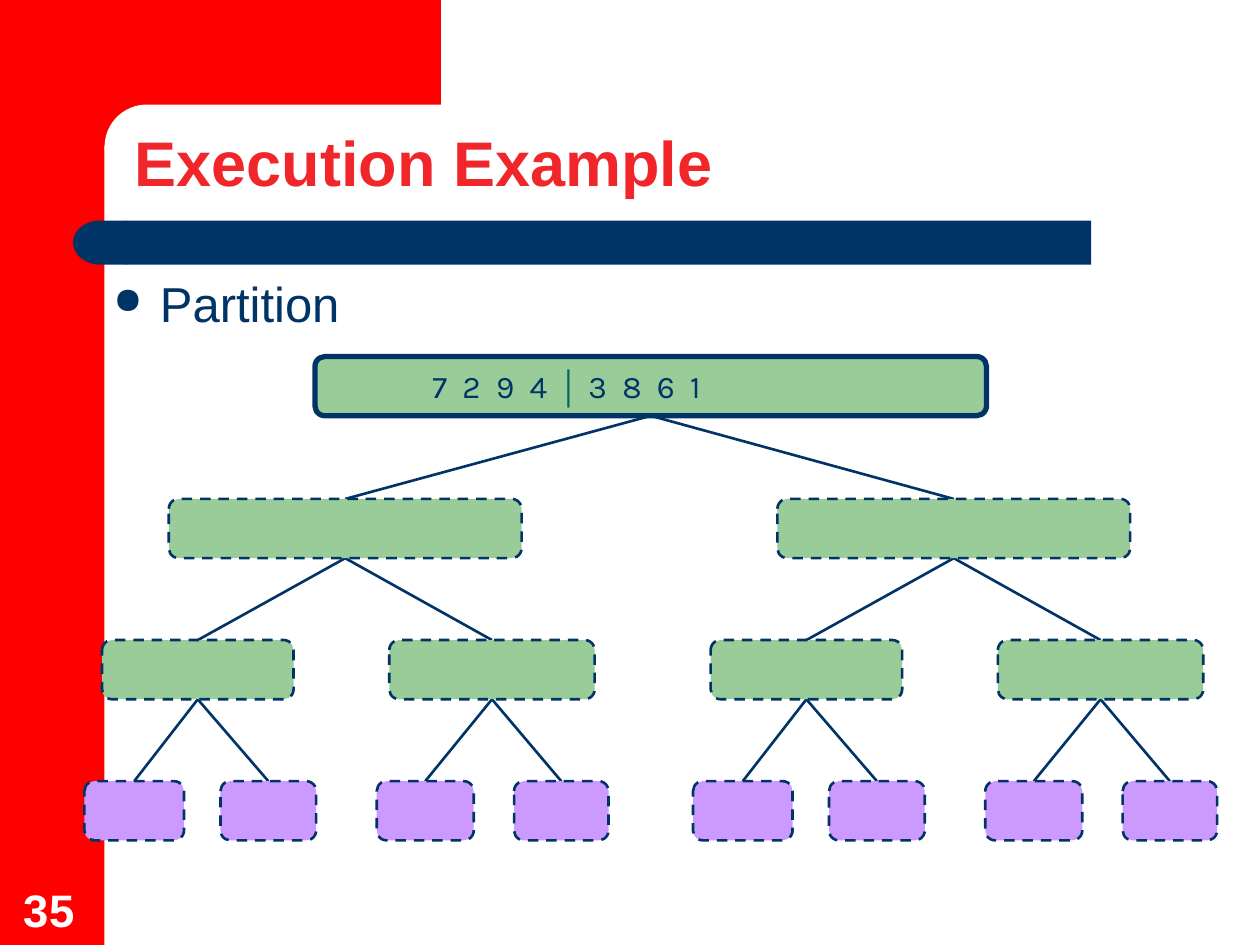
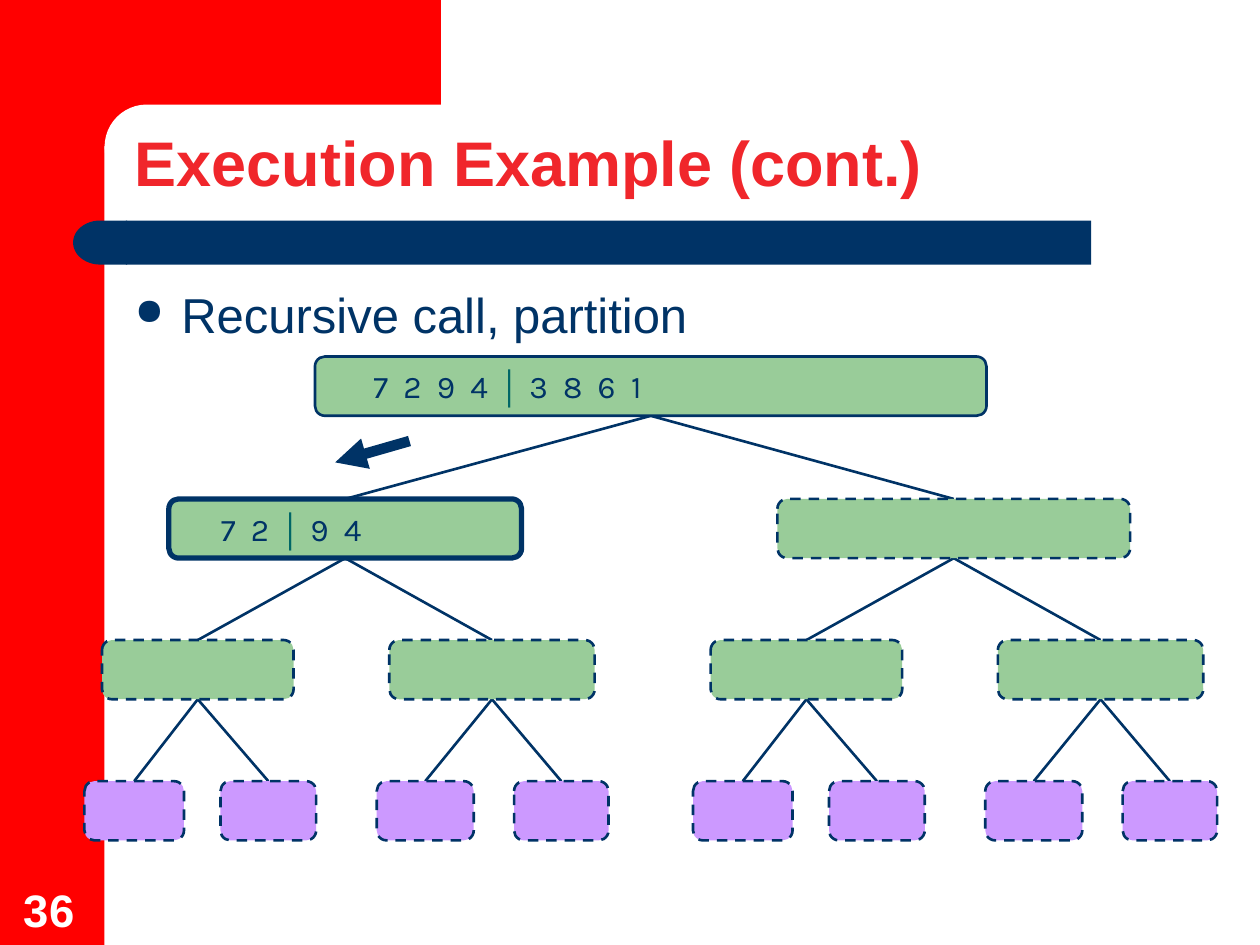
import pptx
import pptx.util
import pptx.dml.color
import pptx.enum.dml
import pptx.enum.shapes
import pptx.enum.text
import pptx.oxml.ns
from lxml import etree

KIND = pptx.enum.shapes.MSO_SHAPE
ANCHOR = pptx.enum.text.MSO_ANCHOR
Inches = pptx.util.Inches
RED, NAVY, WHITE = "FF0000", "003366", "FFFFFF"
GREEN, LILAC, TEAL, CORAL = "99CC99", "CC99FF", "006666", "F0262B"

BANDS = [
    (KIND.RECTANGLE, (0, 0, 0.83, 7.5), RED),
    (KIND.RECTANGLE, (0.75, 0, 2.75, 1.16), RED),
    (KIND.ROUNDED_RECTANGLE, (0.83, 0.83, 5.58, 0.67), WHITE),
    (KIND.RECTANGLE, (1, 1.75, 7.66, 0.35), NAVY),
    (KIND.FLOWCHART_DELAY, (0.58, 1.75, 0.43, 0.35), NAVY),
]
SLIDES = [
    {"title": "Execution Example", "page": "35",
     "point": "Partition", "at": (0.83, 2.08),
     "nodes": {(0, 0): ("7 2 9 4", "3 8 6 1", 0.91, 3)}},
    {"title": "Execution Example (cont.)", "page": "36",
     "point": "Recursive call, partition", "at": (1, 2.17),
     "nodes": {(0, 0): ("7 2 9 4", "3 8 6 1", 0.44, 1.5),
               (1, 0): ("7 2", "9 4", 0.39, 3)},
     "arrow": ((3.25, 3.5), (2.66, 3.67))},
]
HALF = [
    [(1.34, 2.8)],
    [(0.81, 1.52), (3.09, 1.63)],
    [(0.67, 0.79), (1.75, 0.76), (2.99, 0.77), (4.08, 0.75)],
]
SHIFT, HIGH = 4.83, 0.47
TOPS = [2.83, 3.96, 5.08, 6.2]
ROWS = [[(2.5, 5.33)]] + [
    row + [(left + SHIFT, wide) for left, wide in row] for row in HALF]


def color(code):
    return pptx.dml.color.RGBColor.from_string(code)


def add_run(para, text, size, code, face="Arial", bold=False):
    run = para.add_run()
    run.text = text
    font = run.font
    font.size, font.name, font.bold = pptx.util.Pt(size), face, bold
    font.color.rgb = color(code)
    return run


def set_frame(frame, anchor, pads):
    frame.word_wrap = True
    frame.auto_size = pptx.enum.text.MSO_AUTO_SIZE.NONE
    frame.vertical_anchor = anchor
    (frame.margin_left, frame.margin_top,
     frame.margin_right, frame.margin_bottom) = map(Inches, pads)
    para = frame.paragraphs[0]
    para.alignment = pptx.enum.text.PP_ALIGN.LEFT
    return para


def add_box(slide, kind, box, fill):
    shape = slide.shapes.add_shape(kind, *map(Inches, box))
    shape.shadow.inherit = False
    shape.fill.solid()
    shape.fill.fore_color.rgb = color(fill)
    shape.line.fill.background()
    return shape


def add_line(slide, start, end, width=1.5):
    line = slide.shapes.add_connector(
        pptx.enum.shapes.MSO_CONNECTOR.STRAIGHT, *map(Inches, start + end))
    line.line.color.rgb = color(NAVY)
    line.line.width = pptx.util.Pt(width)
    etree.SubElement(line.element.spPr, pptx.oxml.ns.qn("a:effectLst"))
    return line


def add_bands(slide, title, page):
    for kind, box, fill in BANDS:
        shape = add_box(slide, kind, box, fill)
        if kind == KIND.ROUNDED_RECTANGLE:
            shape.adjustments[0] = 0.5
        if kind == KIND.FLOWCHART_DELAY:
            shape.rotation = 180
    head = slide.shapes.title
    slide.shapes.element.append(head.element)
    head.left, head.top, head.width, head.height = map(Inches, (1, 1, 8.75, 0.64))
    para = set_frame(head.text_frame, ANCHOR.BOTTOM, (0.07, 0.05, 0.07, 0.05))
    para.line_spacing = 0.9
    add_run(para, title, 36, CORAL, bold=True)
    foot = slide.shapes.add_textbox(*map(Inches, (0.09, 6.94, 0.64, 0.54)))
    para = set_frame(foot.text_frame, ANCHOR.BOTTOM, (0.1, 0.05, 0.1, 0.05))
    add_run(para, page, 26, WHITE, bold=True)


def add_point(slide, text, spot):
    body = slide.shapes.add_textbox(*map(Inches, spot + (8.5, 0.57)))
    para = set_frame(body.text_frame, ANCHOR.TOP, (0.07, 0.09, 0.07, 0.05))
    props = para._p.get_or_add_pPr()
    props.set("marL", str(Inches(0.37)))
    props.set("indent", str(-Inches(0.37)))
    qn = pptx.oxml.ns.qn
    tint = etree.SubElement(props, qn("a:buClr"))
    etree.SubElement(tint, qn("a:srgbClr"), val=NAVY)
    etree.SubElement(props, qn("a:buSzPct"), val="75000")
    etree.SubElement(props, qn("a:buChar"), char="●")
    add_run(para, text, 28, NAVY)


def add_tree(slide, nodes):
    for depth in range(1, len(ROWS)):
        for spot, (left, wide) in enumerate(ROWS[depth]):
            over, span = ROWS[depth - 1][spot // 2]
            add_line(slide, (left + wide / 2, TOPS[depth]),
                     (over + span / 2, TOPS[depth - 1] + HIGH))
    for depth, row in enumerate(ROWS):
        fill = LILAC if depth == len(ROWS) - 1 else GREEN
        for spot, (left, wide) in enumerate(row):
            node = add_box(slide, KIND.ROUNDED_RECTANGLE,
                           (left, TOPS[depth], wide, HIGH), fill)
            node.adjustments[0] = 0.167
            node.line.color.rgb = color(NAVY)
            node.line.width = pptx.util.Pt(1.5)
            if (depth, spot) not in nodes:
                node.line.dash_style = pptx.enum.dml.MSO_LINE.DASH
                continue
            first, last, pad, width = nodes[depth, spot]
            node.line.width = pptx.util.Pt(width)
            para = set_frame(node.text_frame, ANCHOR.MIDDLE, (pad, 0.05, 0.1, 0.05))
            start = add_run(para, first, 18, NAVY, "Karla")
            add_run(para, " │ ", 18, TEAL, bold=True)
            end = add_run(para, last, 18, NAVY, "Karla")
            for run in (start, end):
                run.font._element.set("spc", "225")


def main():
    deck = pptx.Presentation()
    deck.slide_width, deck.slide_height = Inches(10), Inches(7.5)
    for item in SLIDES:
        slide = deck.slides.add_slide(deck.slide_layouts[5])
        add_bands(slide, item["title"], item["page"])
        add_point(slide, item["point"], item["at"])
        add_tree(slide, item["nodes"])
        if "arrow" in item:
            arrow = add_line(slide, *item["arrow"], width=6)
            etree.SubElement(arrow.line._get_or_add_ln(),
                             pptx.oxml.ns.qn("a:tailEnd"), type="triangle")
    deck.save("out.pptx")


if __name__ == "__main__":
    main()
